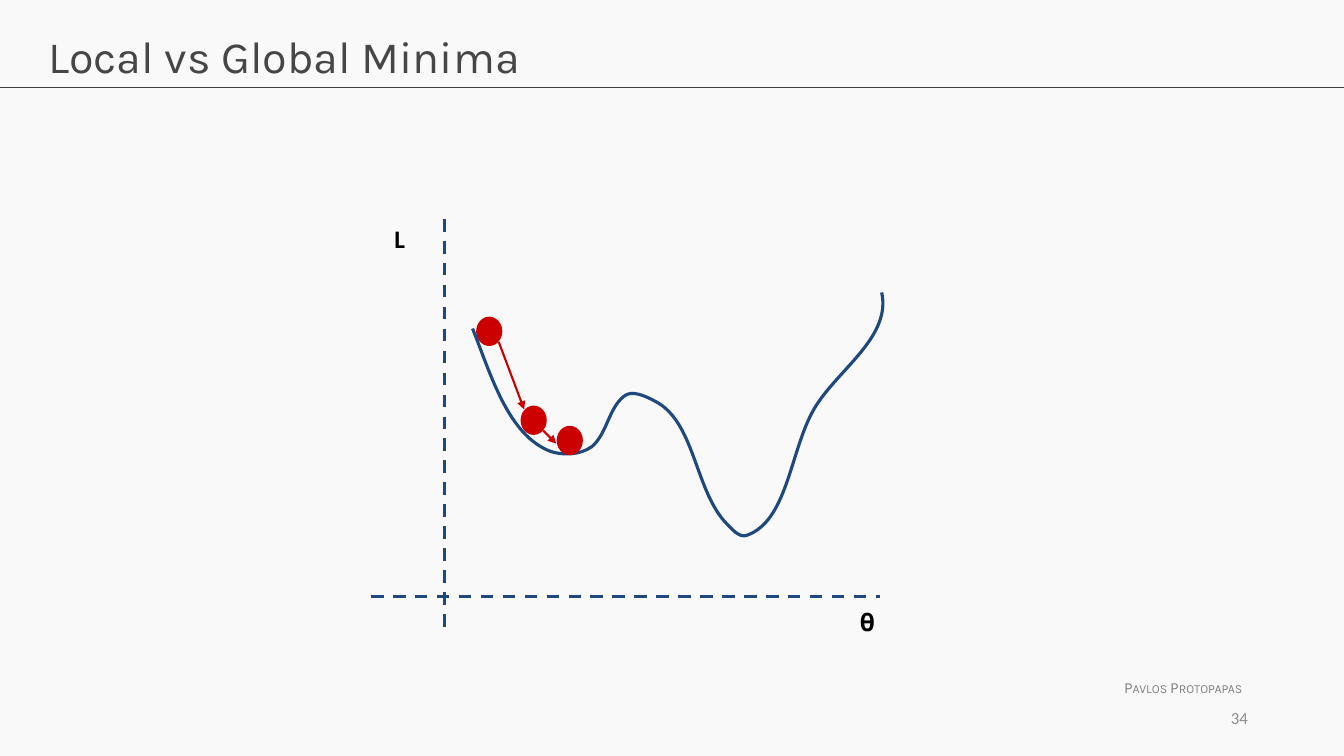
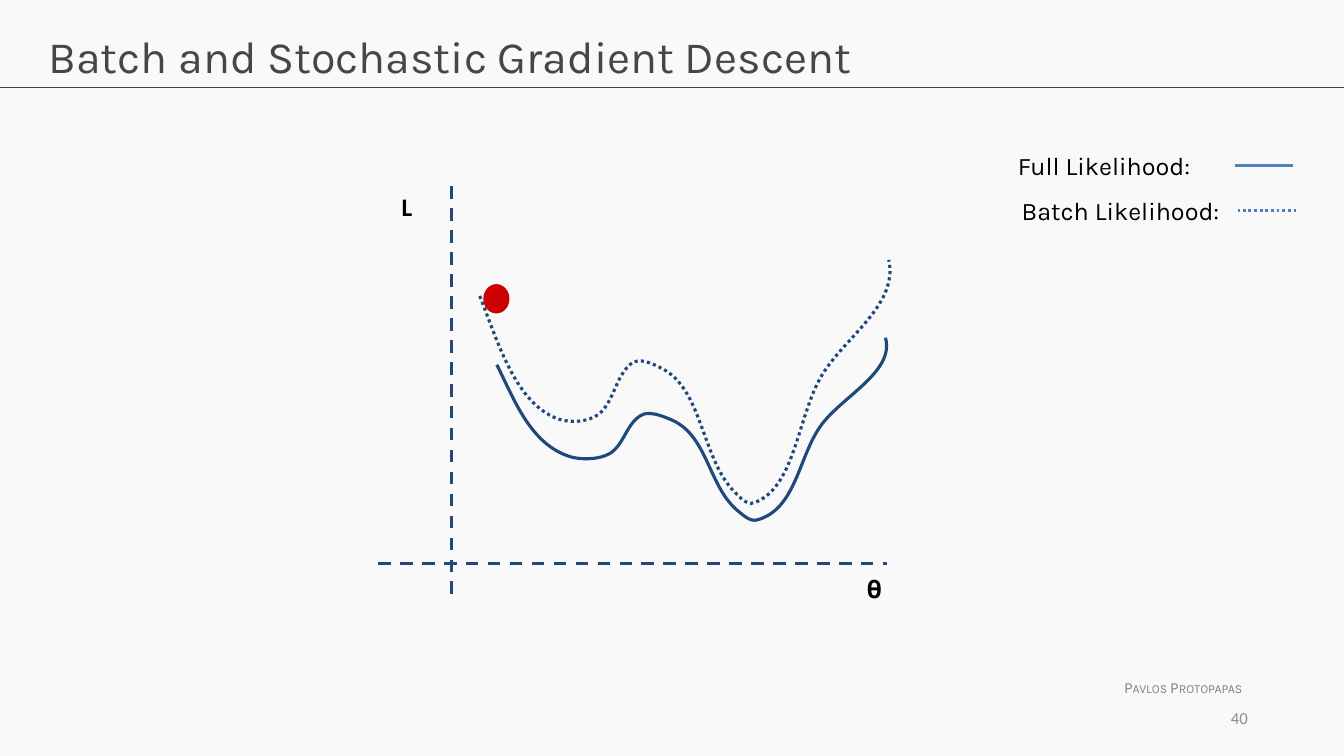
import lxml.etree
import pptx
import pptx.dml.color
import pptx.enum.dml
import pptx.enum.shapes
import pptx.enum.text
import pptx.oxml.ns
import pptx.util

Cm = pptx.util.Cm
Pt = pptx.util.Pt
qn = pptx.oxml.ns.qn
rgb = pptx.dml.color.RGBColor.from_string
Dash = pptx.enum.dml.MSO_LINE
Align = pptx.enum.text.PP_ALIGN
Anchor = pptx.enum.text.MSO_ANCHOR
AutoSize = pptx.enum.text.MSO_AUTO_SIZE
STRAIGHT = pptx.enum.shapes.MSO_CONNECTOR.STRAIGHT
OVAL = pptx.enum.shapes.MSO_SHAPE.OVAL

BACKGROUND = "F9F9F9"
RULE = "404040"
TITLE = "464646"
AUTHOR = "808080"
NUMBER = "8C8C8C"
NAVY = "1F497D"
KEY_BLUE = "4F81BD"
RED = "CC0000"
BLACK = "000000"

CURVE_WIDTH = 10.34
CURVE_HEIGHT = 6.15
CURVE_POINTS = [
    (0, 0.91),
    (0.46, 2.06), (0.89, 3.61), (1.98, 4.01),
    (2.29, 4.11), (2.72, 4.09), (3, 3.89),
    (3.38, 3.58), (3.43, 2.92), (3.81, 2.62),
    (4.01, 2.44), (4.37, 2.62), (4.6, 2.74),
    (5.59, 3.25), (5.59, 4.9), (6.35, 5.77),
    (6.5, 5.92), (6.71, 6.2), (6.91, 6.12),
    (7.92, 5.77), (8, 4.06), (8.56, 3.02),
    (9.09, 2.01), (10.57, 1.17), (10.31, 0),
]

SLIDES = [
    {
        "title": "Local vs Global Minima",
        "number": "34",
        "origin": (11.2, 15.02),
        "curves": [(0.71, -7.65, 1, 1, Dash.SOLID)],
        "later_balls": [(1.92, -4.8), (2.83, -4.29)],
        "arrows": [(1.37, -6.4, 2.01, -4.7), (2.49, -4.17, 2.82, -3.84)],
        "legend": [],
    },
    {
        "title": "Batch and Stochastic Gradient Descent",
        "number": "40",
        "origin": (11.38, 14.2),
        "curves": [
            (0.71, -7.65, 1, 1, Dash.ROUND_DOT),
            (1.14, -5.69, 0.95, 0.75, Dash.SOLID),
        ],
        "later_balls": [],
        "arrows": [],
        "legend": [
            ("Full Likelihood:", 25.4, 3.67, 5.05, 31.12, Dash.SOLID),
            ("Batch Likelihood:", 25.5, 4.8, 5.72, 31.2, Dash.ROUND_DOT),
        ],
    },
]
AXES = [(0, -9.5, 0, 0.97), (-1.85, 0, 10.97, 0)]
AXIS_LABELS = [("L", -1.51, -9.64, True), ("𝛉", 10.22, 0, None)]
FIRST_BALL = (0.8, -7.04)


def add_text(page, text, left, top, width, height, font, size, color, wrap=True, inset=0.13):
    box = page.shapes.add_textbox(Cm(left), Cm(top), Cm(width), Cm(height))
    frame = box.text_frame
    frame.word_wrap = wrap
    frame.auto_size = AutoSize.NONE if wrap else AutoSize.SHAPE_TO_FIT_TEXT
    frame.margin_left = frame.margin_right = Cm(0.25)
    frame.margin_top = frame.margin_bottom = Cm(inset)
    span = frame.paragraphs[0].add_run()
    span.text = text
    span.font.name = font
    span.font.size = Pt(size)
    span.font.color.rgb = rgb(color)
    return frame, span


def style_line(shape, color, width, dash=Dash.SOLID, arrow=False):
    shape.line.color.rgb = rgb(color)
    shape.line.width = Pt(width)
    if dash != Dash.SOLID:
        shape.line.dash_style = dash
    properties = shape._element.spPr
    if arrow:
        lxml.etree.SubElement(properties.find(qn("a:ln")), qn("a:tailEnd"), type="triangle")
    lxml.etree.SubElement(properties, qn("a:effectLst"))


deck = pptx.Presentation()
deck.slide_width = Cm(33.87)
deck.slide_height = Cm(19.05)
master_fill = deck.slide_master.background.fill
master_fill.solid()
master_fill.fore_color.rgb = rgb(BACKGROUND)

for content in SLIDES:
    page = deck.slides.add_slide(deck.slide_layouts[6])
    rule = page.shapes.add_connector(STRAIGHT, 0, Cm(2.2), deck.slide_width, Cm(2.2))
    style_line(rule, RULE, 0.75)
    frame, span = add_text(
        page, "Pavlos Protopapas", 28.08, 16.97, 3.58, 0.73, "Karla", 11, AUTHOR, wrap=False
    )
    span._r.get_or_add_rPr().set("cap", "small")
    add_text(page, content["title"], 0.97, 0.59, 31.93, 2.13, "Karla", 32, TITLE)
    frame, span = add_text(
        page, content["number"], 23.8, 17.58, 7.9, 1.01, "Calibri", 12, NUMBER
    )
    frame.vertical_anchor = Anchor.MIDDLE
    frame.paragraphs[0].alignment = Align.RIGHT

    origin_x, origin_y = content["origin"]
    for x1, y1, x2, y2 in AXES:
        axis = page.shapes.add_connector(
            STRAIGHT, Cm(origin_x + x1), Cm(origin_y + y1), Cm(origin_x + x2), Cm(origin_y + y2)
        )
        style_line(axis, NAVY, 2.25, Dash.DASH)
    for label, x, y, bold in AXIS_LABELS:
        frame, span = add_text(
            page, label, origin_x + x, origin_y + y, 1.52, 1.78, "Calibri", 18, BLACK, inset=0.25
        )
        span.font.bold = bold

    for x, y in [FIRST_BALL] + content["later_balls"]:
        ball = page.shapes.add_shape(
            OVAL, Cm(origin_x + x), Cm(origin_y + y), Cm(0.66), Cm(0.74)
        )
        ball.shadow.inherit = False
        ball.fill.solid()
        ball.fill.fore_color.rgb = rgb(RED)
        ball.line.fill.background()
        if (x, y) != FIRST_BALL:
            continue
        for left, top, scale_x, scale_y, dash in content["curves"]:
            points = [
                (Cm(origin_x + left + scale_x * px), Cm(origin_y + top + scale_y * py))
                for px, py in CURVE_POINTS
            ]
            builder = page.shapes.build_freeform(*points[0])
            builder.add_line_segments(points[1:], close=False)
            curve = builder.convert_to_shape()
            curve.width = Cm(CURVE_WIDTH * scale_x)
            curve.height = Cm(CURVE_HEIGHT * scale_y)
            outline = curve._element.spPr.find(".//" + qn("a:path"))
            outline.set("w", str(curve.width))
            outline.set("h", str(curve.height))
            segments = outline.findall(qn("a:lnTo"))
            for first in range(0, len(segments), 3):
                bezier = lxml.etree.SubElement(outline, qn("a:cubicBezTo"))
                for segment in segments[first:first + 3]:
                    bezier.append(segment[0])
                    outline.remove(segment)
            curve.fill.background()
            style_line(curve, NAVY, 2.25, dash)

    for x1, y1, x2, y2 in content["arrows"]:
        arrow = page.shapes.add_connector(
            STRAIGHT, Cm(origin_x + x1), Cm(origin_y + y1), Cm(origin_x + x2), Cm(origin_y + y2)
        )
        style_line(arrow, RED, 1.5, arrow=True)

    for label, left, top, width, key_left, dash in content["legend"]:
        add_text(page, label, left, top, width, 1.02, "Karla", 18, BLACK, wrap=False)
        key_y = Cm(top + 0.51)
        key = page.shapes.add_connector(STRAIGHT, Cm(key_left + 1.47), key_y, Cm(key_left), key_y)
        style_line(key, KEY_BLUE, 2, dash)

deck.save("out.pptx")
